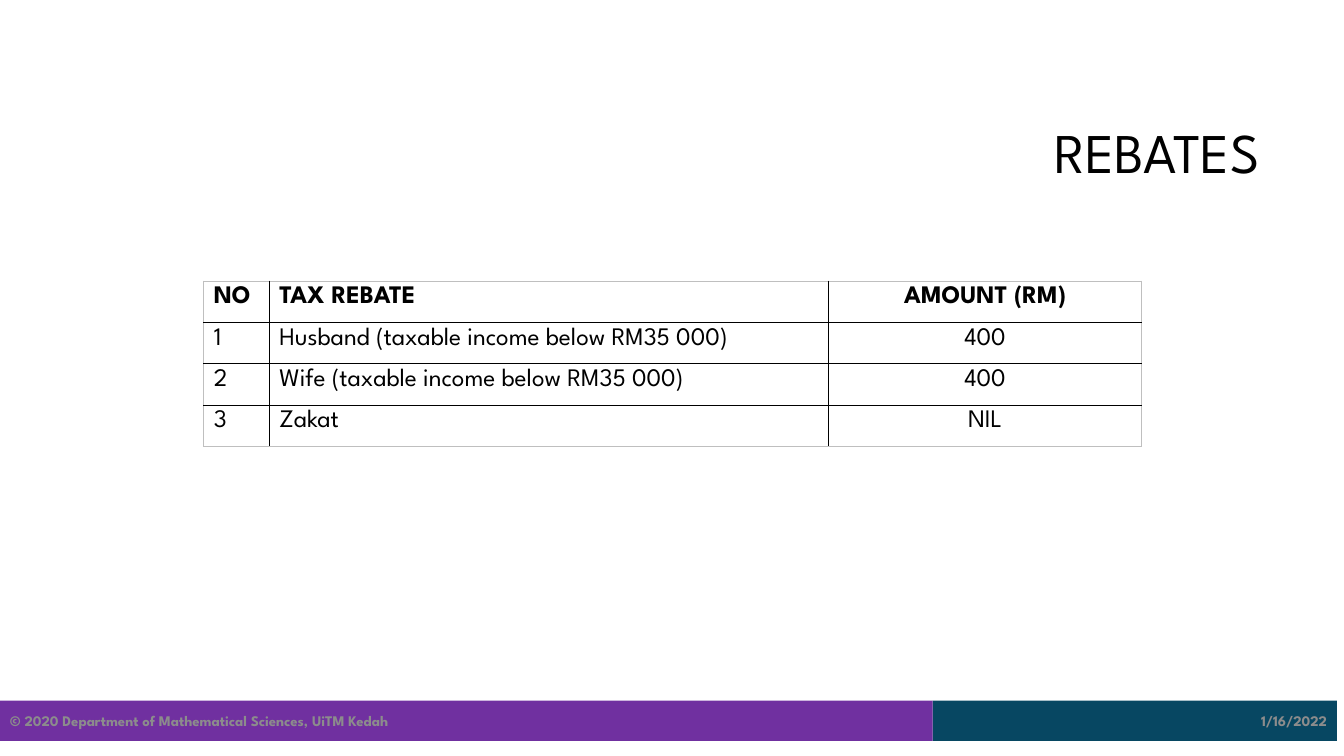
import pptx
import pptx.dml.color
import pptx.enum.shapes
import pptx.enum.text
import pptx.oxml
import pptx.oxml.ns
import pptx.util

EMU_PER_PX = 9144  # 100 px to the inch
ALIGN = pptx.enum.text.PP_ALIGN
ANCHOR = pptx.enum.text.MSO_ANCHOR
BLACK, WHITE, GREY, OUTER = "000000", "FFFFFF", "8C8C8C", "BFBFBF"
PURPLE, TEAL = "7030A0", "074762"


def px(length):
    return pptx.util.Emu(length * EMU_PER_PX)


def color(value):
    return pptx.dml.color.RGBColor.from_string(value)


def set_border(cell, side, value):
    """Draw a one-point line on a side named L, R, T or B."""
    cell._tc.get_or_add_tcPr().append(pptx.oxml.parse_xml(
        f'<a:ln{side} {pptx.oxml.ns.nsdecls("a")} w="12700"><a:solidFill>'
        f'<a:srgbClr val="{value}"/></a:solidFill></a:ln{side}>'))


class SlideBuilder:
    font = "League Spartan"

    def __init__(self, slide):
        self.slide = slide

    def set_text(self, frame, text, size, value, align=ALIGN.LEFT, bold=False):
        para = frame.paragraphs[0]
        para.text = text
        para.alignment = align
        para.font.name = self.font
        para.font.size = pptx.util.Pt(size)
        para.font.bold = bold
        para.font.color.rgb = color(value)
        return para

    def title(self, text, left, top, width, height):
        box = self.slide.shapes.add_textbox(*map(px, (left, top, width, height)))
        frame = box.text_frame
        frame.word_wrap = True
        frame.vertical_anchor = ANCHOR.MIDDLE
        para = self.set_text(frame, text, 40, BLACK, ALIGN.RIGHT)
        para.line_spacing = 0.9

    def footer(self, text, left, width, fill, align):
        bar = self.slide.shapes.add_shape(
            pptx.enum.shapes.MSO_SHAPE.RECTANGLE,
            px(left), px(695), px(width), px(40))
        bar.shadow.inherit = False
        bar.fill.solid()
        bar.fill.fore_color.rgb = color(fill)
        bar.line.fill.background()
        bar.text_frame.word_wrap = True
        bar.text_frame.vertical_anchor = ANCHOR.MIDDLE
        self.set_text(bar.text_frame, text, 10.5, GREY, align, bold=True)

    def table(self, rows, left, top, widths, row_height, aligns):
        """Add a table with a bold first row, a grey frame and black inner lines."""
        last_row, last_column = len(rows) - 1, len(widths) - 1
        table = self.slide.shapes.add_table(
            len(rows), len(widths), px(left), px(top),
            px(sum(widths)), px(row_height * len(rows))).table
        for column, width in zip(table.columns, widths):
            column.width = px(width)
        for r, texts in enumerate(rows):
            table.rows[r].height = px(row_height)
            for c, text in enumerate(texts):
                cell = table.cell(r, c)
                edges = {"L": c == 0, "R": c == last_column,
                         "T": r == 0, "B": r == last_row}
                for side, is_outer in edges.items():
                    set_border(cell, side, OUTER if is_outer else BLACK)
                cell.fill.solid()
                cell.fill.fore_color.rgb = color(WHITE)
                self.set_text(cell.text_frame, text, 18, BLACK, aligns[c], bold=r == 0)


def main():
    deck = pptx.Presentation()
    deck.slide_width, deck.slide_height = pptx.util.Inches(13.33), pptx.util.Inches(7.5)
    page = SlideBuilder(deck.slides.add_slide(deck.slide_layouts[6]))
    page.footer("1/16/2022", 925, 401, TEAL, ALIGN.RIGHT)
    page.footer("© 2020 Department of Mathematical Sciences, UiTM Kedah",
                0, 925, PURPLE, ALIGN.LEFT)
    page.title("REBATES", 317, 84, 942, 141)
    rebates = [
        ("NO", "TAX REBATE", "AMOUNT (RM)"),
        ("1", "Husband (taxable income below RM35 000)", "400"),
        ("2", "Wife (taxable income below RM35 000)", "400"),
        ("3", "Zakat", "NIL"),
    ]
    page.table(rebates, 202, 279, (65, 555, 310), 41,
               (ALIGN.LEFT, ALIGN.LEFT, ALIGN.CENTER))
    deck.save("out.pptx")


if __name__ == "__main__":
    main()
